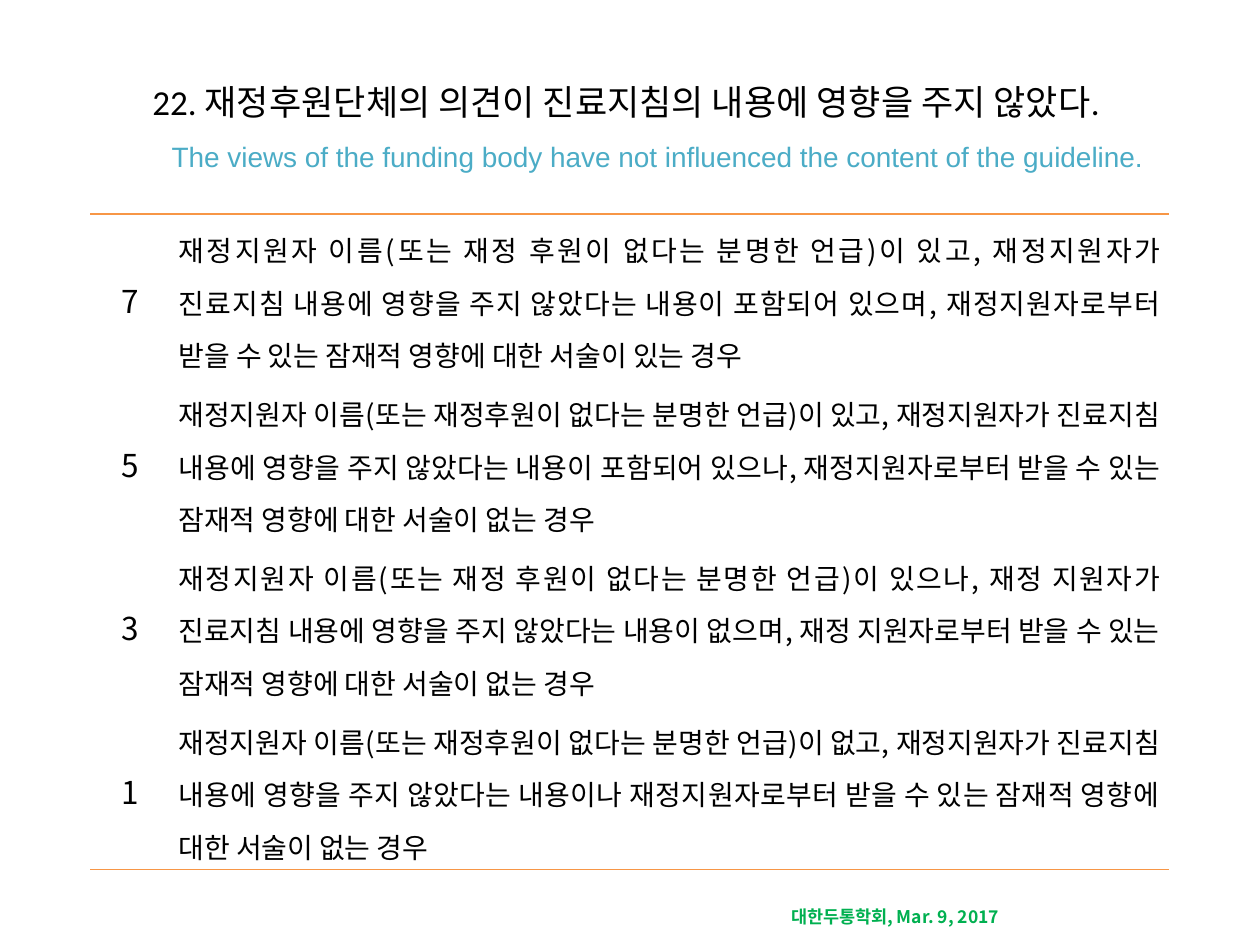
from lxml.etree import SubElement
from pptx import Presentation
from pptx.dml.color import RGBColor
from pptx.enum.text import MSO_ANCHOR, MSO_AUTO_SIZE, PP_ALIGN
from pptx.oxml import parse_xml
from pptx.oxml.ns import nsdecls, qn
from pptx.util import Pt

KOREAN = "Noto Sans CJK KR"
BLACK, TEAL, GREEN, ORANGE = "000000", "4BACC6", "00B050", "F79646"
NO_STYLE = "{2D5ABB26-0587-4C30-8999-92F81FD0307C}"

HEADING = "22. 재정후원단체의 의견이 진료지침의 내용에 영향을 주지 않았다. "
SUBHEADING = "The views of the funding body have not influenced the content of the guideline. "
CRITERIA = [
    ("7", "재정지원자 이름(또는 재정 후원이 없다는 분명한 언급)이 있고, 재정지원자가 진료지침 내용에 "
          "영향을 주지 않았다는 내용이 포함되어 있으며, 재정지원자로부터 받을 수 있는 잠재적 영향에 대한 "
          "서술이 있는 경우"),
    ("5", "재정지원자 이름(또는 재정후원이 없다는 분명한 언급)이 있고, 재정지원자가 진료지침 내용에 "
          "영향을 주지 않았다는 내용이 포함되어 있으나, 재정지원자로부터 받을 수 있는 잠재적 영향에 대한 "
          "서술이 없는 경우"),
    ("3", "재정지원자 이름(또는 재정 후원이 없다는 분명한 언급)이 있으나, 재정 지원자가 진료지침 내용에 "
          "영향을 주지 않았다는 내용이 없으며, 재정 지원자로부터 받을 수 있는 잠재적 영향에 대한 "
          "서술이 없는 경우"),
    ("1", "재정지원자 이름(또는 재정후원이 없다는 분명한 언급)이 없고, 재정지원자가 진료지침 내용에 "
          "영향을 주지 않았다는 내용이나 재정지원자로부터 받을 수 있는 잠재적 영향에 대한 "
          "서술이 없는 경우"),
]


def rgb(color):
    return RGBColor.from_string(color)


def format_run(run, size, color=BLACK, latin=KOREAN, bold=False):
    """Format a run, with the Korean font for its East Asian letters."""
    font = run.font
    font.size, font.bold, font.name = Pt(size), bold, latin
    font.color.rgb = rgb(color)
    east_asian = SubElement(run._r.rPr, qn("a:ea"), typeface=KOREAN)
    run._r.rPr.find(qn("a:latin")).addnext(east_asian)


def set_title(slide):
    title = slide.shapes.title
    title.left, title.top, title.width, title.height = Pt(36), Pt(21.6), Pt(648), Pt(90)
    frame = title.text_frame
    frame.text = f"{HEADING}\v{SUBHEADING}"
    frame.word_wrap = True
    frame.auto_size = MSO_AUTO_SIZE.NONE
    frame.vertical_anchor = MSO_ANCHOR.MIDDLE
    paragraph = frame.paragraphs[0]
    paragraph.alignment = PP_ALIGN.CENTER
    paragraph.line_spacing = 1.5
    paragraph.space_before = Pt(0)
    properties = paragraph._p.get_or_add_pPr()
    properties.set("marL", str(Pt(36)))
    properties.set("indent", str(-Pt(36)))
    heading, subheading = paragraph.runs
    format_run(heading, 20, latin="Calibri")
    format_run(subheading, 16, TEAL, latin="Arial")


def fill_cell(cell, text, size, alignment, line_spacing):
    cell.text_frame.text = text
    cell.fill.background()
    cell.vertical_anchor = MSO_ANCHOR.MIDDLE
    cell.margin_left = cell.margin_right = Pt(5)
    cell.margin_top = cell.margin_bottom = 0
    paragraph = cell.text_frame.paragraphs[0]
    paragraph.alignment = alignment
    paragraph.line_spacing = line_spacing
    format_run(paragraph.runs[0], size)


def add_rule(cell, side):
    """Draw an orange border; side is lnT or lnB."""
    border = parse_xml(
        f'<a:{side} {nsdecls("a")} w="{Pt(1)}"><a:solidFill>'
        f'<a:srgbClr val="{ORANGE}"/></a:solidFill></a:{side}>')
    cell._tc.get_or_add_tcPr().insert(0, border)


def add_criteria(slide):
    table = slide.shapes.add_table(
        len(CRITERIA), 2, Pt(51.6), Pt(122.4), Pt(616.4), Pt(374.4)).table
    table.first_row = table.horz_banding = False
    table._tbl.tblPr.find(qn("a:tableStyleId")).text = NO_STYLE
    table.columns[0].width, table.columns[1].width = Pt(45.4), Pt(571)
    for row, (score, criterion) in enumerate(CRITERIA):
        fill_cell(table.cell(row, 0), score, 18, PP_ALIGN.CENTER, 1.15)
        fill_cell(table.cell(row, 1), criterion, 16, PP_ALIGN.JUSTIFY, 1.3)
    for column in range(2):
        add_rule(table.cell(0, column), "lnT")
        add_rule(table.cell(len(CRITERIA) - 1, column), "lnB")


def add_footer(slide):
    footer = slide.shapes.add_textbox(Pt(445), Pt(514), Pt(158.4), Pt(19.4))
    frame = footer.text_frame
    frame.text = "대한두통학회, Mar. 9, 2017"
    frame.word_wrap = True
    format_run(frame.paragraphs[0].runs[0], 10, GREEN, bold=True)


def main():
    deck = Presentation()
    deck.slide_width, deck.slide_height = Pt(720), Pt(540)
    slide = deck.slides.add_slide(deck.slide_layouts[5])
    add_footer(slide)
    set_title(slide)
    add_criteria(slide)
    deck.save("out.pptx")


if __name__ == "__main__":
    main()
